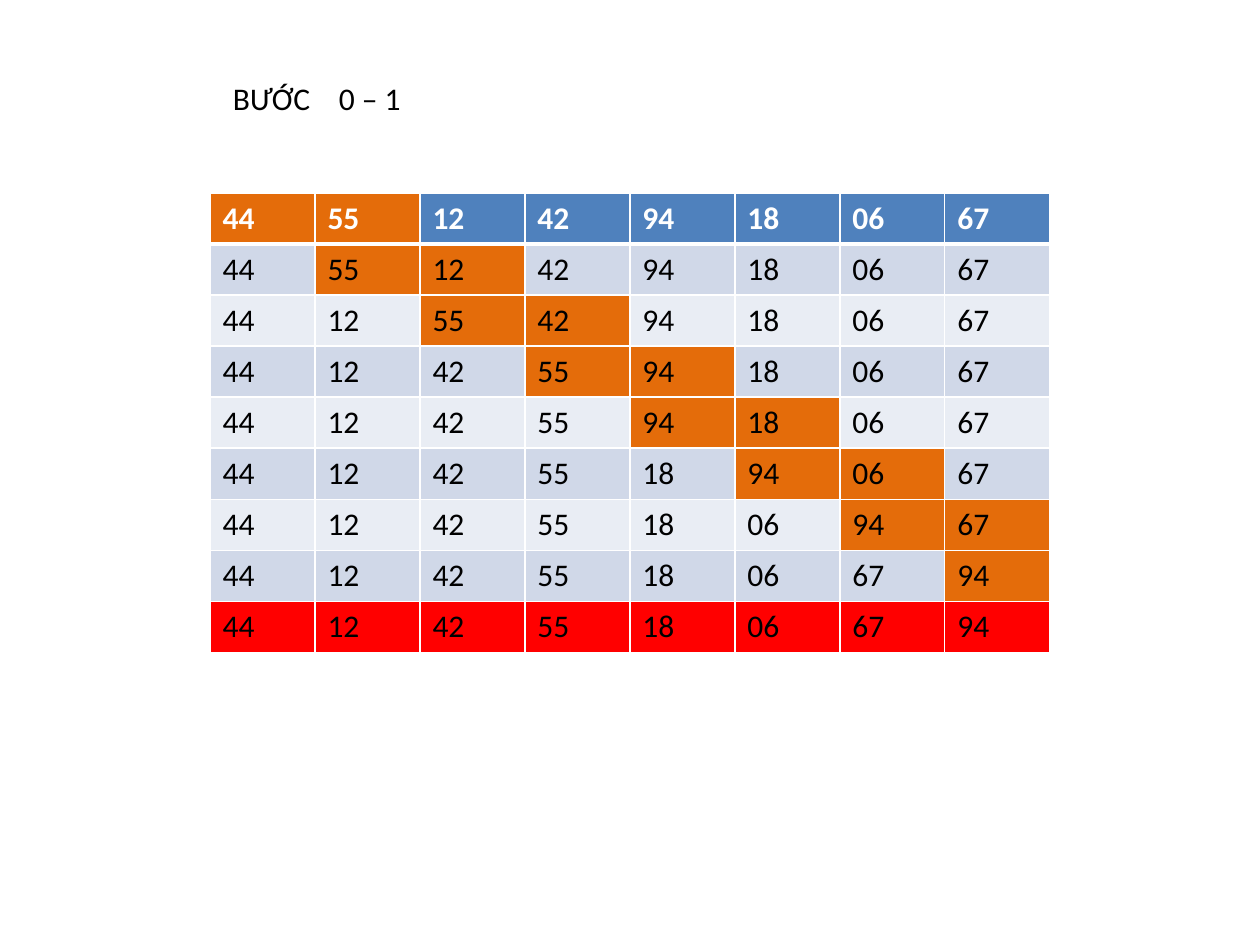
from pptx import Presentation
from pptx.dml.color import RGBColor as RGB
from pptx.enum.text import MSO_AUTO_SIZE as AutoSize
from pptx.oxml import parse_xml
from pptx.oxml.ns import nsdecls
from pptx.util import Inches, Pt

TITLE = "BƯỚC\t0 – 1"
START = ["44", "55", "12", "42", "94", "18", "06", "67"]

THEME = dict(
    font="Calibri", size=18, text="000000", header_text="FFFFFF",
    header="4F81BD", bands=("E9EDF4", "D0D8E8"), compared="E46C0A",
    result="FF0000", border="FFFFFF", thin=1, thick=3,
)

SLIDE_W, SLIDE_H = 10, 7.5
TABLE_W, TABLE_H = SLIDE_W * 2 / 3, 3.65
TABLE_X, TABLE_Y = (SLIDE_W - TABLE_W) / 2, 1.53
TITLE_BOX = (1.75, 0.58, 1.61, 0.4)
TITLE_TAB = 0.84


def bubble_pass(values):
    """Return the list before each comparison, then the final list twice."""
    steps = [list(values)]
    for i in range(len(values) - 1):
        step = list(steps[-1])
        step[i:i + 2] = sorted(step[i:i + 2])
        steps.append(step)
    return steps + [steps[-1]]


def add_run(p, text, color, bold=False):
    r = p.add_run()
    r.text = text
    r.font.name, r.font.size, r.font.bold = THEME["font"], Pt(THEME["size"]), bold
    r.font.color.rgb = RGB.from_string(color)


def set_borders(cell, row):
    """Draw all four sides, thick on the line under the header."""
    tcPr = cell._tc.get_or_add_tcPr()
    thick_side = {0: "B", 1: "T"}.get(row)
    for side in "LRTB":
        width = THEME["thick" if side == thick_side else "thin"]
        tcPr.append(parse_xml(
            f'<a:ln{side} {nsdecls("a")} w="{Pt(width)}"><a:solidFill>'
            f'<a:srgbClr val="{THEME["border"]}"/></a:solidFill></a:ln{side}>'))


def cell_fill(row, col, last_row):
    if row == last_row:
        return THEME["result"]
    if col in (row, row + 1):
        return THEME["compared"]
    return THEME["bands"][row % 2] if row else THEME["header"]


def add_title(slide):
    tf = slide.shapes.add_textbox(*map(Inches, TITLE_BOX)).text_frame
    tf.word_wrap, tf.auto_size = False, AutoSize.SHAPE_TO_FIT_TEXT
    p = tf.paragraphs[0]
    add_run(p, TITLE, THEME["text"])
    p._p.get_or_add_pPr().append(parse_xml(
        f'<a:tabLst {nsdecls("a")}><a:tab pos="{Inches(TITLE_TAB)}" algn="l"/></a:tabLst>'))


def add_steps_table(slide, steps):
    n_rows, n_cols = len(steps), len(steps[0])
    box = map(Inches, (TABLE_X, TABLE_Y, TABLE_W, TABLE_H))
    table = slide.shapes.add_table(n_rows, n_cols, *box).table
    table.first_row = table.horz_banding = False
    for row, step in enumerate(steps):
        for col, value in enumerate(step):
            cell = table.cell(row, col)
            set_borders(cell, row)
            cell.fill.solid()
            cell.fill.fore_color.rgb = RGB.from_string(cell_fill(row, col, n_rows - 1))
            color = THEME["text" if row else "header_text"]
            add_run(cell.text_frame.paragraphs[0], value, color, bold=row == 0)


def main():
    prs = Presentation()
    prs.slide_width, prs.slide_height = Inches(SLIDE_W), Inches(SLIDE_H)
    slide = prs.slides.add_slide(prs.slide_layouts[6])
    add_steps_table(slide, bubble_pass(START))
    add_title(slide)
    prs.save("out.pptx")


if __name__ == "__main__":
    main()
